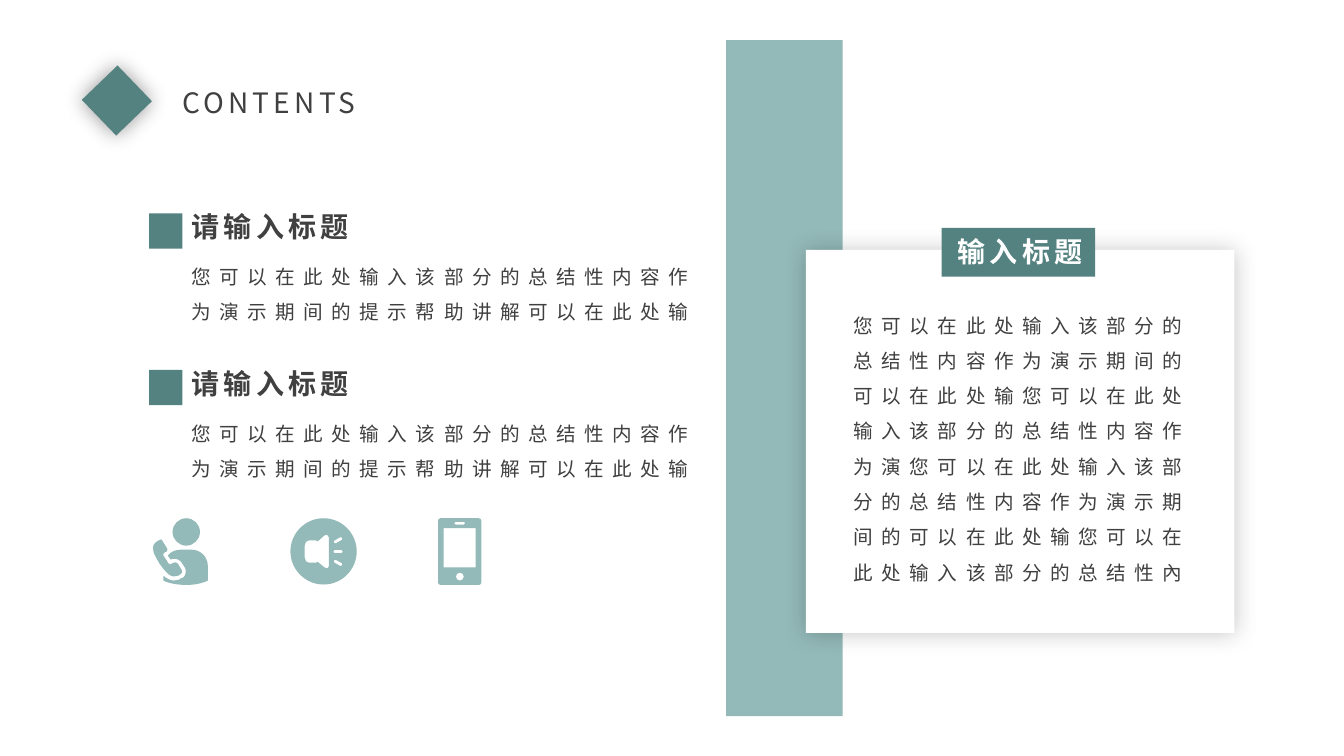
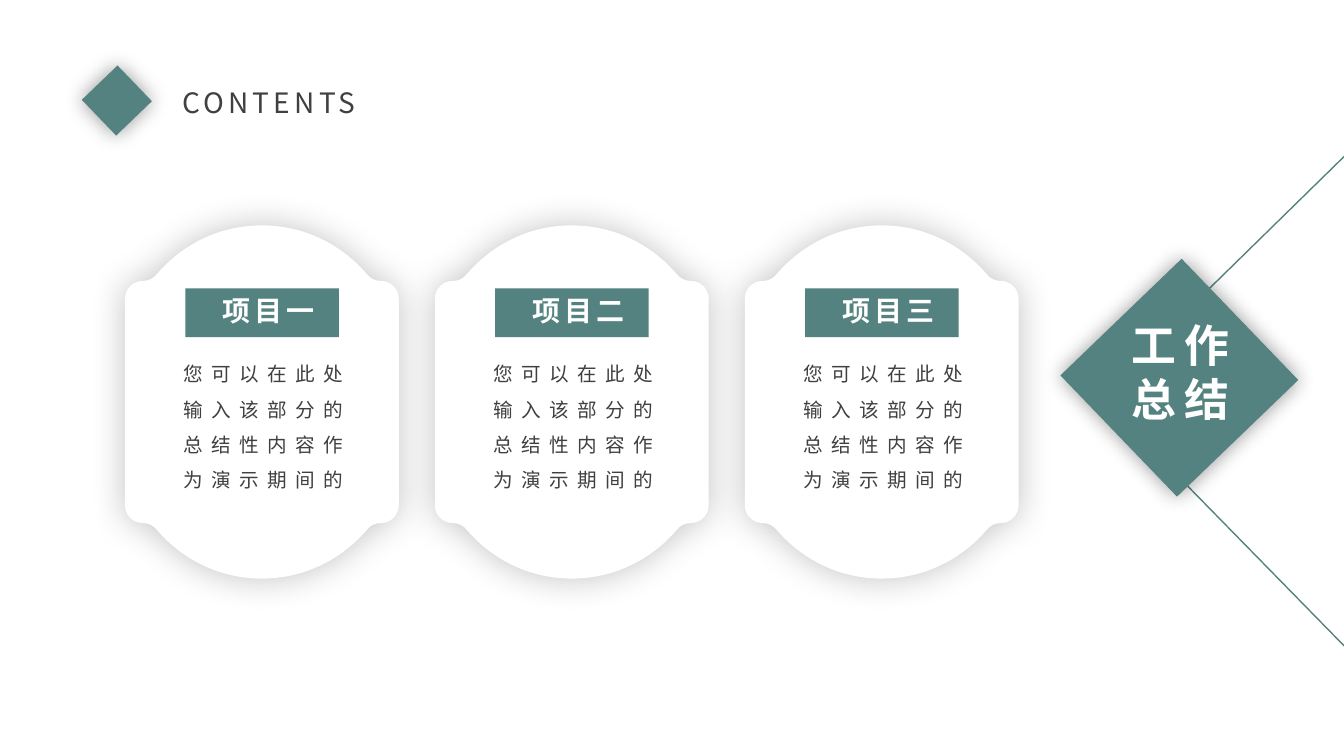
from math import hypot

from lxml.etree import SubElement
from pptx import Presentation
from pptx.dml.color import RGBColor
from pptx.enum.shapes import MSO_SHAPE as Form
from pptx.enum.text import MSO_ANCHOR as Anchor, PP_ALIGN as Align
from pptx.oxml.ns import qn
from pptx.util import Cm, Pt

TEAL = RGBColor(0x54, 0x82, 0x80)
PALE = RGBColor(0x93, 0xB9, 0xB8)
WHITE = RGBColor(0xFF, 0xFF, 0xFF)
INK = RGBColor(0x40, 0x40, 0x40)
FONT = "Noto Sans CJK SC"

ITEM_TEXT = "您可以在此处输入该部分的总结性内容作为演示期间的提示帮助讲解可以在此处输"
CARD_TEXT = (
    "您可以在此处输入该部分的总结性内容作为演示期间的可以在此处输"
    "您可以在此处输入该部分的总结性内容作为演"
    "您可以在此处输入该部分的总结性内容作为演示期间的可以在此处输"
    "您可以在此处输入该部分的总结性內"
)
PLAQUE_TEXT = "您可以在此处输入该部分的总结性内容作为演示期间的"

PLAQUE_QUARTER = [
    (0, -4.45),
    (1.07, -4.45, 2, -3.97, 2.64, -3.23),
    (2.72, -3.12, 2.85, -3.05, 3, -3.05),
    (3.25, -3.05, 3.45, -2.85, 3.45, -2.6),
]
CALLER_BODY = [
    (0.71, 0.79), (0.94, 0.79), (1.19, 0.79, 1.37, 0.97, 1.37, 1.22),
    (1.37, 1.57), (1.37, 1.57, 1.17, 1.68, 0.84, 1.68),
    (0.43, 1.68, 0.25, 1.57, 0.25, 1.57), (0.25, 1.45),
    (0.33, 1.52, 0.43, 1.57, 0.51, 1.57),
    (0.56, 1.57, 0.58, 1.57, 0.64, 1.55),
    (0.66, 1.52, 0.71, 1.5, 0.74, 1.5),
    (0.81, 1.45, 0.84, 1.32, 0.79, 1.24), (0.69, 1.09),
    (0.64, 1.04, 0.58, 1.02, 0.53, 1.02),
    (0.51, 1.02, 0.46, 1.02, 0.43, 1.04), (0.36, 0.94),
    (0.43, 0.84, 0.56, 0.79, 0.71, 0.79),
]
HANDSET = [
    (0.2, 0.53), (0.2, 0.56, 0.23, 0.56, 0.23, 0.58), (0.33, 0.74),
    (0.36, 0.76, 0.36, 0.81, 0.33, 0.84), (0.28, 0.86),
    (0.25, 0.89, 0.23, 0.91, 0.25, 0.94), (0.38, 1.14),
    (0.41, 1.17, 0.43, 1.17, 0.46, 1.14), (0.51, 1.12),
    (0.53, 1.09, 0.58, 1.12, 0.61, 1.14), (0.71, 1.3),
    (0.74, 1.35, 0.71, 1.4, 0.69, 1.4),
    (0.69, 1.4, 0.64, 1.45, 0.61, 1.45),
    (0.46, 1.52, 0.33, 1.4, 0.15, 1.14),
    (0, 0.89, -0.08, 0.74, 0.05, 0.61),
    (0.08, 0.58, 0.13, 0.56, 0.13, 0.56),
    (0.15, 0.53, 0.18, 0.53, 0.2, 0.53),
]
SPEAKER = [
    (0.86, 0.43), (0.89, 0.4, 0.97, 0.41, 0.97, 0.48), (0.97, 1.19),
    (0.97, 1.27, 0.89, 1.28, 0.86, 1.24), (0.69, 1.1), (0.64, 1.12),
    (0.46, 1.12), (0.41, 1.12, 0.36, 1.07, 0.36, 0.99), (0.36, 0.69),
    (0.36, 0.61, 0.41, 0.56, 0.46, 0.56), (0.64, 0.56), (0.69, 0.58),
]
SOUND_WAVES = [
    (1.12, 0.6, 1.28, 0.51),
    (1.11, 0.84, 1.29, 0.84),
    (1.12, 1.08, 1.28, 1.17),
]


def paint(shape, color, shadow=None):
    """Fill a shape plainly, with an optional (opacity, blur) soft shadow."""
    shape.shadow.inherit = False
    shape.fill.solid()
    shape.fill.fore_color.rgb = color
    shape.line.fill.background()
    if shadow:
        opacity, blur = shadow
        effects = shape.element.spPr.find(qn("a:effectLst"))
        outer = SubElement(effects, qn("a:outerShdw"), blurRad=str(Pt(blur)),
                           dist="0", dir="0", algn="ctr", rotWithShape="0")
        tint = SubElement(outer, qn("a:srgbClr"), val="000000")
        SubElement(tint, qn("a:alpha"), val=str(opacity * 1000))
    return shape


def add_block(page, left, top, width, height, color, shadow=None):
    """Add a painted rectangle, measured in centimetres."""
    block = page.shapes.add_shape(Form.RECTANGLE, Cm(left), Cm(top), Cm(width), Cm(height))
    return paint(block, color, shadow)


def mirror(contour, flip_x, flip_y):
    """Return a contour reflected and travelled backwards."""
    ends = [segment[-2:] for segment in contour]
    backwards = [ends[-1]]
    for segment, start in zip(contour[:0:-1], ends[-2::-1]):
        backwards.append(segment[2:4] + segment[:2] + start if len(segment) == 6 else start)
    return [tuple(value * (flip_y if place % 2 else flip_x)
                  for place, value in enumerate(segment)) for segment in backwards]


def rounded(left, top, width, height, radius):
    """Return the contour of a rounded rectangle."""
    right, bottom, pull = left + width, top + height, 0.45 * radius
    return [
        (left + radius, top), (right - radius, top),
        (right - pull, top, right, top + pull, right, top + radius),
        (right, bottom - radius),
        (right, bottom - pull, right - pull, bottom, right - radius, bottom),
        (left + radius, bottom),
        (left + pull, bottom, left, bottom - pull, left, bottom - radius),
        (left, top + radius),
        (left, top + pull, left + pull, top, left + radius, top),
    ]


def disc(left, top, size):
    """Return the contour of a circle."""
    corners = rounded(left, top, size, size, size / 2)
    return [corners[0]] + corners[2::2]


def capsule(x1, y1, x2, y2, radius=0.04):
    """Return the contour of a short stroke with round ends."""
    ratio = radius / hypot(x2 - x1, y2 - y1)
    dx, dy = (x2 - x1) * ratio, (y2 - y1) * ratio
    return [
        (x1 + dy, y1 - dx), (x2 + dy, y2 - dx),
        (x2 + dy + dx, y2 - dx + dy, x2 - dy + dx, y2 + dx + dy, x2 - dy, y2 + dx),
        (x1 - dy, y1 + dx),
        (x1 - dy - dx, y1 + dx - dy, x1 + dy - dx, y1 - dx - dy, x1 + dy, y1 - dx),
    ]


def add_outline(page, left, top, contours, color, shadow=None):
    """Add one painted freeform of closed contours with lines and cubic curves."""
    builder = None
    for contour in contours:
        start, *points = [(Cm(left + segment[i]), Cm(top + segment[i + 1]))
                          for segment in contour for i in range(0, len(segment), 2)]
        if builder:
            builder.move_to(*start)
        else:
            builder = page.shapes.build_freeform(*start)
        builder.add_line_segments(points, close=True)
    shape = builder.convert_to_shape()
    drawing = next(shape.element.iter(qn("a:path")))
    nodes = iter(list(drawing))
    for contour in contours:
        next(nodes)
        for segment in contour[1:]:
            node = next(nodes)
            if len(segment) == 6:
                node.tag = qn("a:cubicBezTo")
                for extra in (next(nodes), next(nodes)):
                    node.append(extra[0])
                    drawing.remove(extra)
        next(nodes)
    return paint(shape, color, shadow)


def write(frame, lines, size, color, spacing, bold=False, align=Align.LEFT, leading=None):
    """Write one paragraph per line with letter spacing in points."""
    for index, line in enumerate(lines):
        para = frame.add_paragraph() if index else frame.paragraphs[0]
        para.alignment = align
        if leading:
            para.line_spacing = leading
        span = para.add_run()
        span.text = line
        span.font.size = Pt(size)
        span.font.bold = bold
        span.font.color.rgb = color
        span.font.name = FONT
        props = span.font._element
        props.set("spc", str(spacing * 100))
        SubElement(props, qn("a:ea"), typeface=FONT)


def add_text(page, left, top, width, height, lines, wrap=True, **style):
    """Add a text box."""
    box = page.shapes.add_textbox(Cm(left), Cm(top), Cm(width), Cm(height))
    box.text_frame.word_wrap = wrap
    write(box.text_frame, lines, **style)


def add_body(page, left, top, width, height, text):
    """Add a widely spaced paragraph of body text."""
    add_text(page, left, top, width, height, [text],
             size=14, color=INK, spacing=6, leading=1.5)


def add_label(page, left, top, text, shift, lift):
    """Add a teal label whose text is nudged right and up."""
    label = add_block(page, left, top, 3.87, 1.23, TEAL)
    frame = label.text_frame
    frame.word_wrap = False
    frame.vertical_anchor = Anchor.MIDDLE
    frame.margin_left, frame.margin_right = Cm(2 * shift), 0
    frame.margin_top, frame.margin_bottom = 0, Cm(2 * lift)
    write(frame, [text], 20, WHITE, 3, bold=True, align=Align.CENTER)


def add_diamond(page, left, top, side):
    """Add a teal square turned onto its corner."""
    add_block(page, left, top, side, side, TEAL, (40, 15)).rotation = 46.1


def add_page(deck):
    """Add a title-only page with its diamond and heading."""
    page = deck.slides.add_slide(deck.slide_layouts[5])
    title = page.shapes.title
    title.left, title.top, title.width, title.height = Cm(4.34), Cm(2.01), Cm(7.14), Cm(1.12)
    title.text_frame.vertical_anchor = Anchor.MIDDLE
    write(title.text_frame, ["CONTENTS"], 20, INK, 3)
    add_diamond(page, 2.32, 1.91, 1.25)
    return page


def add_item(page, left, top):
    """Add a square marker with a heading and two lines of text."""
    add_block(page, left, top + 0.22, 0.84, 0.89, TEAL)
    add_text(page, left + 0.82, top, 4.7, 1.12, ["请输入标题"], wrap=False,
             size=20, color=INK, spacing=3, bold=True)
    add_body(page, left + 0.82, top + 1.1, 13.46, 1.96, ITEM_TEXT)


def add_card(page, left, top):
    """Add the white card with its label and text."""
    add_block(page, left, top, 10.8, 9.65, WHITE, (22, 17))
    add_label(page, left + 3.42, top - 0.56, "输入标题", 0.04, 0.02)
    add_body(page, left + 0.96, top + 1.18, 9.32, 8.33, CARD_TEXT)


def add_icons(page, left, top):
    """Draw a caller, a loudspeaker and a mobile phone in one row."""
    caller = [CALLER_BODY, HANDSET, disc(0.48, 0, 0.69)]
    speaker = [disc(0, 0, 1.67), SPEAKER] + [capsule(*wave) for wave in SOUND_WAVES]
    phone = [
        rounded(0, 0, 1.09, 1.68, 0.06),
        rounded(0.41, 0.09, 0.27, 0.07, 0.03),
        disc(0.45, 1.37, 0.2),
        [(0.14, 0.25), (0.95, 0.25), (0.95, 1.24), (0.14, 1.24)],
    ]
    for offset, contours in ((0, caller), (3.45, speaker), (7.17, phone)):
        add_outline(page, left + offset, top, contours, PALE)


def add_plaque(page, center_x, center_y, name):
    """Add a curved plaque mirrored from one quarter, with label and text."""
    half = PLAQUE_QUARTER + mirror(PLAQUE_QUARTER, 1, -1)
    outline = half + mirror(half, -1, 1)[1:]
    add_outline(page, center_x, center_y, [outline], WHITE, (23, 25))
    add_label(page, center_x - 1.93, center_y - 2.86, name, 0.17, 0.06)
    add_body(page, center_x - 2.23, center_y - 1.42, 5.21, 3.84, PLAQUE_TEXT)


def add_summary(page, left, top):
    """Add the large diamond over the corner of a turned outline square."""
    frame = page.shapes.add_shape(Form.RECTANGLE, Cm(left + 3.57), Cm(top - 5.65),
                                  Cm(16.71), Cm(16.71))
    frame.shadow.inherit = False
    frame.fill.background()
    frame.line.color.rgb = TEAL
    frame.line.width = Pt(1)
    frame.rotation = 315.6
    add_diamond(page, left, top, 4.24)
    add_text(page, left + 0.1, top + 0.48, 4.09, 3, ["工作", "总结"],
             size=32, color=WHITE, spacing=6, bold=True, align=Align.CENTER)


def build_overview(deck):
    """Build the page with two items, icons and a card."""
    page = add_page(deck)
    add_block(page, 18.3, 1.01, 2.94, 17.04, PALE)
    add_card(page, 20.31, 6.3)
    for row in range(2):
        add_item(page, 3.76, 5.16 + row * 3.94)
    add_icons(page, 3.87, 13.06)


def build_projects(deck):
    """Build the page with three plaques and a summary."""
    page = add_page(deck)
    for column, name in enumerate(["项目一", "项目二", "项目三"]):
        add_plaque(page, 6.6 + column * 7.81, 10.13, name)
    add_summary(page, 27.6, 7.4)


def main():
    """Build and save the deck."""
    deck = Presentation()
    deck.slide_width, deck.slide_height = Cm(33.87), Cm(19.05)
    build_overview(deck)
    build_projects(deck)
    deck.save("out.pptx")


if __name__ == "__main__":
    main()
